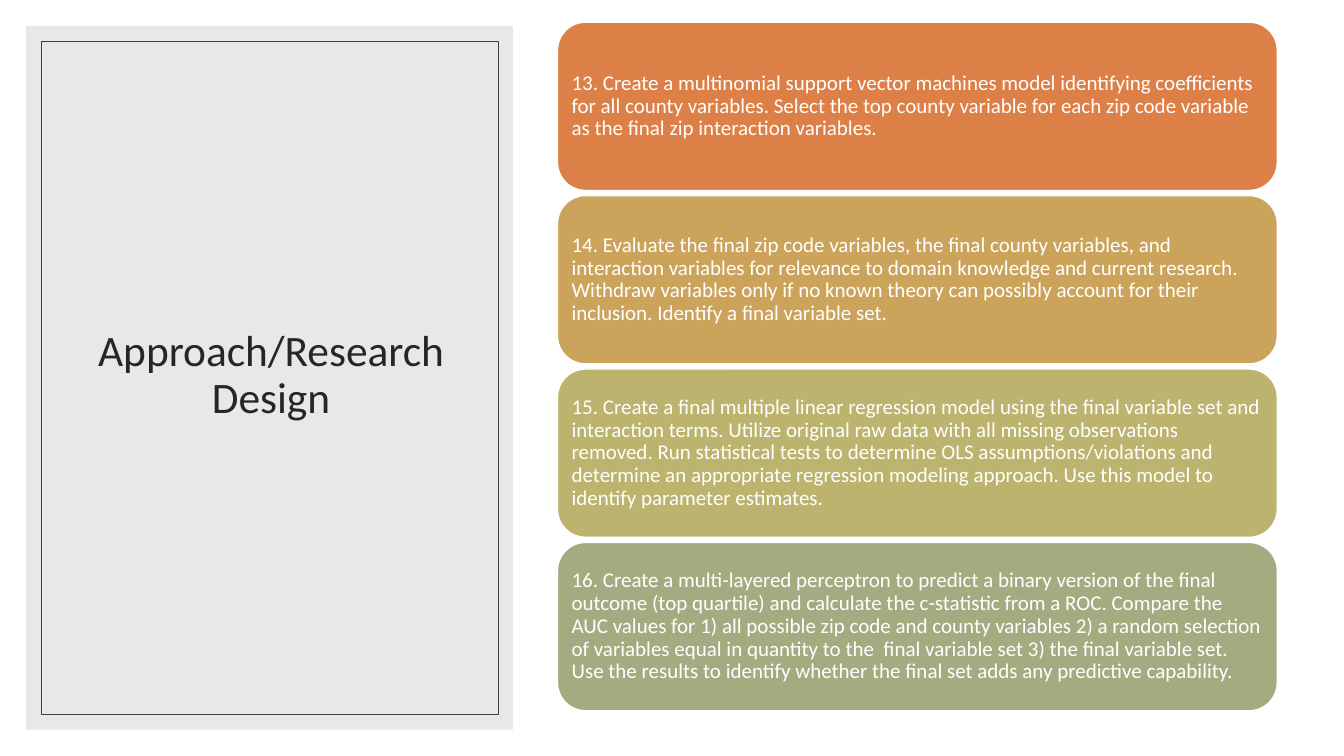
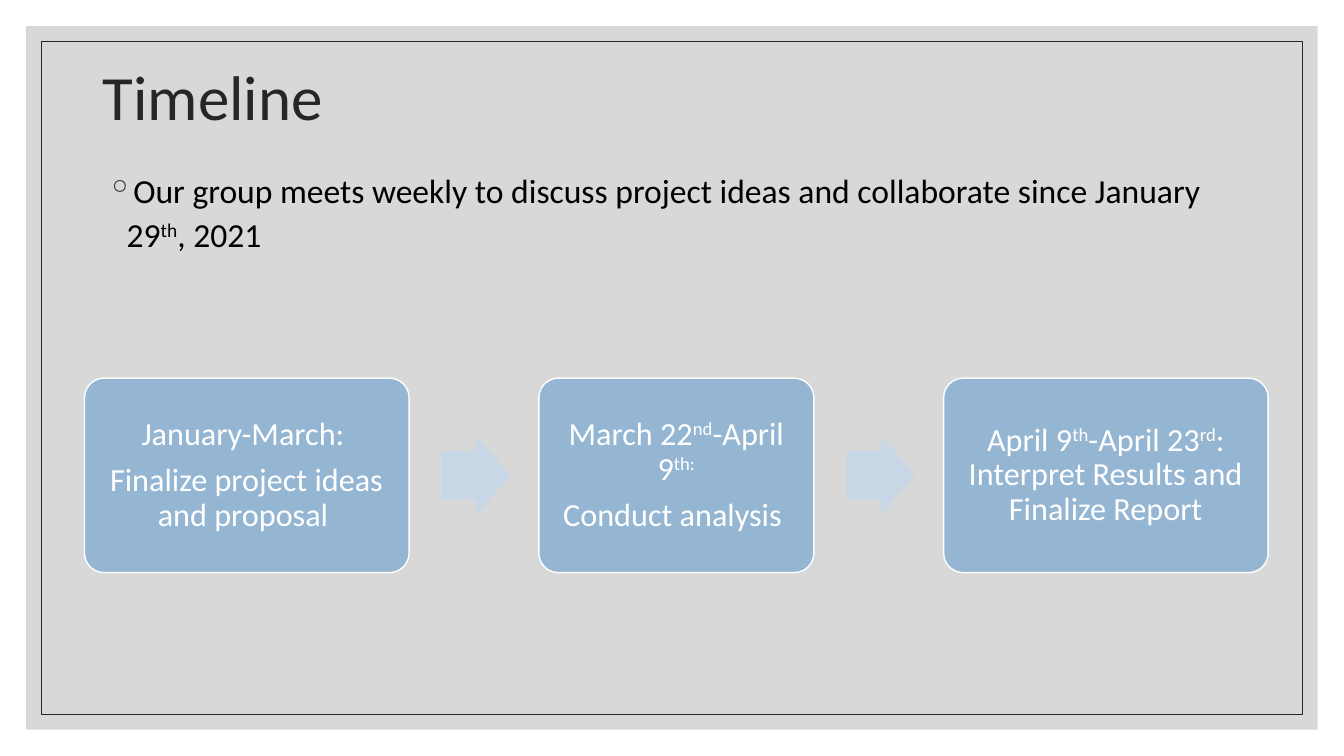
from pptx import Presentation
from pptx.dml.color import RGBColor
from pptx.enum.shapes import MSO_SHAPE as Shape
from pptx.enum.text import MSO_ANCHOR as Anchor, PP_ALIGN as Align
from pptx.oxml.ns import qn
from pptx.oxml.xmlchemy import OxmlElement
from pptx.util import Cm, Pt

# Shared style
FONT = "Calibri"
WHITE, BLACK, DARK = "FFFFFF", "000000", "262626"
STEP_FILL, ARROW_FILL = "94B6D2", "C8D7E5"
SLIDE_W, SLIDE_H = 33.87, 19.05
MARGIN, BORDER_GAP = 0.66, 0.38

# Wording; text between ^ marks is raised
DESIGN_STEPS = [
    ("DD8047", "13. Create a multinomial support vector machines model identifying "
     "coefficients for all county variables. Select the top county variable for each "
     "zip code variable as the final zip interaction variables."),
    ("CCA35B", "14. Evaluate the final zip code variables, the final county variables, "
     "and interaction variables for relevance to domain knowledge and current research. "
     "Withdraw variables only if no known theory can possibly account for their "
     "inclusion. Identify a final variable set."),
    ("BBB36E", "15. Create a final multiple linear regression model using the final "
     "variable set and interaction terms. Utilize original raw data with all missing "
     "observations removed. Run statistical tests to determine OLS "
     "assumptions/violations and determine an appropriate regression modeling approach. "
     "Use this model to identify parameter estimates."),
    ("A5AB81", "16. Create a multi-layered perceptron to predict a binary version of the "
     "final outcome (top quartile) and calculate the c-statistic from a ROC. Compare the "
     "AUC values for 1) all possible zip code and county variables 2) a random selection "
     "of variables equal in quantity to the  final variable set 3) the final variable "
     "set. Use the results to identify whether the final set adds any predictive "
     "capability."),
]
MEETINGS = ("Our group meets weekly to discuss project ideas and collaborate since "
            "January 29^th^, 2021")
PHASES = [
    (8.18, ["January-March: ", "Finalize project ideas and proposal "]),
    (6.93, ["March 22^nd^-April 9^th:^", "Conduct analysis "]),
    (8.18, ["April 9^th^-April 23^rd^: Interpret Results and Finalize Report"]),
]


def color(hex_code):
    return RGBColor.from_string(hex_code)


def add_box(slide, kind, box, fill=None, line=None, line_pt=1.0, alpha=None):
    shape = slide.shapes.add_shape(kind, *map(Cm, box))
    shape.shadow.inherit = False
    if fill:
        shape.fill.solid()
        shape.fill.fore_color.rgb = color(fill)
    else:
        shape.fill.background()
    if alpha:
        opacity = OxmlElement("a:alpha")
        opacity.set("val", str(alpha * 1000))
        shape.fill._xPr.find(f".//{qn('a:srgbClr')}").append(opacity)
    if line:
        shape.line.color.rgb = color(line)
        shape.line.width = Pt(line_pt)
    else:
        shape.line.fill.background()
    return shape


def write(frame, texts, size, ink, align=Align.LEFT, anchor=Anchor.MIDDLE,
          spacing=0.9, after=0, inset=None):
    frame.word_wrap = True
    frame.vertical_anchor = anchor
    if inset is not None:
        frame.margin_left = frame.margin_right = Cm(inset)
        frame.margin_top = frame.margin_bottom = Cm(inset)
    for index, text in enumerate(texts):
        paragraph = frame.add_paragraph() if index else frame.paragraphs[0]
        paragraph.alignment = align
        paragraph.line_spacing = spacing
        paragraph.space_after = Pt(after)
        paragraph.font.name = FONT
        paragraph.font.size = Pt(size)
        paragraph.font.color.rgb = color(ink)
        for part, piece in enumerate(text.split("^")):
            if piece:
                run = paragraph.add_run()
                run.text = piece
                if part % 2:
                    run._r.get_or_add_rPr().set("baseline", "30000")


def add_text(slide, box, text, size, ink, **style):
    frame = slide.shapes.add_textbox(*map(Cm, box)).text_frame
    write(frame, [text], size, ink, **style)
    return frame


def add_bullet(paragraph, sign, ink, indent):
    properties = paragraph._p.get_or_add_pPr()
    properties.set("marL", str(Cm(indent)))
    properties.set("indent", str(-Cm(indent)))
    bullet_color, tone = OxmlElement("a:buClr"), OxmlElement("a:srgbClr")
    tone.set("val", ink)
    bullet_color.append(tone)
    bullet = OxmlElement("a:buChar")
    bullet.set("char", sign)
    defaults = properties.find(qn("a:defRPr"))
    defaults.addprevious(bullet_color)
    defaults.addprevious(bullet)


def add_framed_panel(slide, box, fill, line):
    left, top, width, height = box
    add_box(slide, Shape.RECTANGLE, box, fill, alpha=60)
    inner = (left + BORDER_GAP, top + BORDER_GAP,
             width - 2 * BORDER_GAP, height - 2 * BORDER_GAP)
    add_box(slide, Shape.RECTANGLE, inner, line=line, line_pt=0.5)


def add_step_cards(slide, box, steps, gap=0.13):
    left, top, width, height = box
    card_height = (height - gap * (len(steps) - 1)) / len(steps)
    for row, (fill, text) in enumerate(steps):
        card_top = top + row * (card_height + gap)
        card = add_box(slide, Shape.ROUNDED_RECTANGLE,
                       (left, card_top, width, card_height), fill, WHITE)
        write(card.text_frame, [text], 15, WHITE, inset=0.15)


def add_phase_flow(slide, box, phases):
    left, top, width, height = box
    arrow_width, arrow_height, arrow_offset = 1.73, 2.03, 0.82
    gap = (width - sum(phase[0] for phase in phases)) / (len(phases) - 1)
    for index, (phase_width, texts) in enumerate(phases):
        if index:
            arrow = add_box(slide, Shape.RIGHT_ARROW,
                            (left - gap + arrow_offset, top + (height - arrow_height) / 2,
                             arrow_width, arrow_height), ARROW_FILL)
            arrow.adjustments[0], arrow.adjustments[1] = 0.6, 0.5
        phase = add_box(slide, Shape.ROUNDED_RECTANGLE,
                        (left, top, phase_width, height), STEP_FILL, WHITE)
        phase.adjustments[0] = 0.1
        write(phase.text_frame, texts, 23, WHITE, Align.CENTER, after=8, inset=0.24)
        left += phase_width + gap


def build_design_slide(slide):
    # Title panel
    add_framed_panel(slide, (MARGIN, MARGIN, 12.27, SLIDE_H - 2 * MARGIN),
                     "D9D9D9", "404040")
    add_text(slide, (1.6, 1.55, 10.46, 15.85), "Approach/Research Design", 31, DARK,
             align=Align.CENTER)
    # Numbered steps
    add_step_cards(slide, (14.05, 0.56, 18.14, 17.35), DESIGN_STEPS)


def build_timeline_slide(slide):
    # Full frame and title
    add_framed_panel(slide, (MARGIN, MARGIN, SLIDE_W - 2 * MARGIN, SLIDE_H - 2 * MARGIN),
                     "BFBFBF", DARK)
    add_text(slide, (2.34, 0.61, 27.94, 3.81), "Timeline", 45, DARK)
    # Meeting note
    note = add_text(slide, (2.44, 4.06, 28.47, 12.47), MEETINGS, 24, BLACK,
                    anchor=Anchor.TOP, spacing=1.1).paragraphs[0]
    note.space_before = Pt(9)
    add_bullet(note, "◦", DARK, 0.5)
    # Project phases
    add_phase_flow(slide, (2.13, 9.53, 29.83, 4.9), PHASES)


def main():
    deck = Presentation()
    deck.slide_width, deck.slide_height = Cm(SLIDE_W), Cm(SLIDE_H)
    for build in (build_design_slide, build_timeline_slide):
        build(deck.slides.add_slide(deck.slide_layouts[6]))
    deck.save("out.pptx")


if __name__ == "__main__":
    main()
